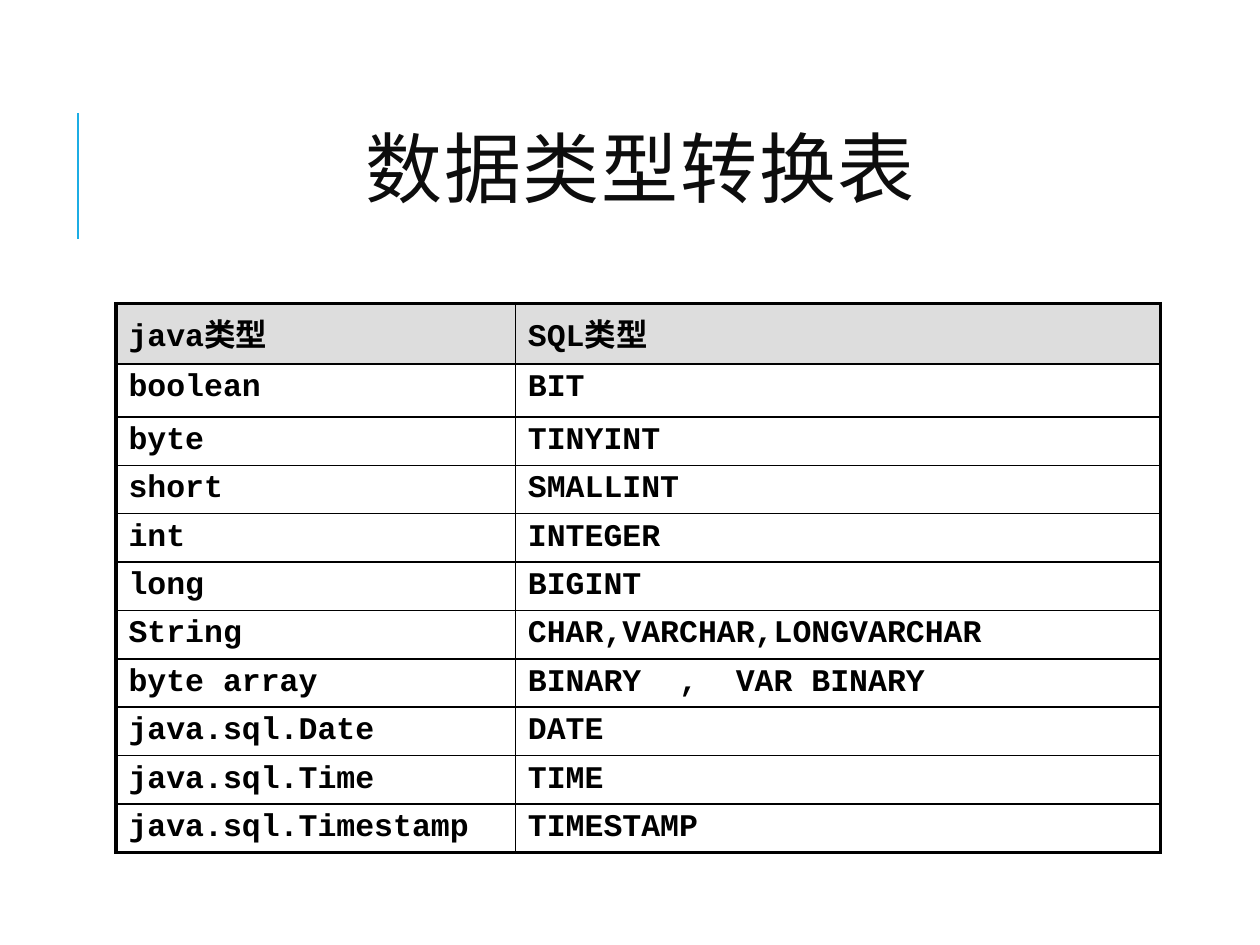
from lxml.etree import SubElement
from pptx import Presentation
from pptx.dml.color import RGBColor
from pptx.enum.shapes import MSO_CONNECTOR
from pptx.enum.text import MSO_ANCHOR, PP_ALIGN
from pptx.oxml.ns import qn
from pptx.util import Inches, Pt

TITLE = "数据类型转换表"
TYPES = [
    ("java类型", "SQL类型"),
    ("boolean", "BIT"),
    ("byte", "TINYINT"),
    ("short", "SMALLINT"),
    ("int", "INTEGER"),
    ("long", "BIGINT"),
    ("String", "CHAR,VARCHAR,LONGVARCHAR"),
    ("byte array", "BINARY  ,  VAR BINARY"),
    ("java.sql.Date", "DATE"),
    ("java.sql.Time", "TIME"),
    ("java.sql.Timestamp", "TIMESTAMP"),
]
COL_WIDTHS = (3.17, 5.12)
ROW_HEIGHTS = [0.48, 0.42] + [0.38] * (len(TYPES) - 2)
OUTER, INNER = 2.25, 1
FONT = "Courier New"
BLACK = RGBColor(0x00, 0x00, 0x00)
TITLE_INK = RGBColor(0x0D, 0x0D, 0x0D)
HEADER_GREY = RGBColor(0xDD, 0xDD, 0xDD)
ACCENT = RGBColor(0x1C, 0xAD, 0xE4)


def add_run(p, text, size, color, bold=False):
    """Add one formatted run to a paragraph."""
    r = p.add_run()
    r.text = text
    r.font.name, r.font.size, r.font.bold = FONT, Pt(size), bold
    r.font.color.rgb = color
    return r


def add_title(slide):
    """Place and format the title."""
    sp = slide.shapes.title
    sp.left, sp.top = Inches(2.8), Inches(0.77)
    sp.width, sp.height = Inches(4.67), Inches(1.25)
    tf = sp.text_frame
    tf.word_wrap = True
    tf.vertical_anchor = MSO_ANCHOR.MIDDLE
    p = tf.paragraphs[0]
    p.alignment, p.line_spacing = PP_ALIGN.LEFT, 0.8
    r = add_run(p, TITLE, 44, TITLE_INK)
    r.font._element.set("spc", "100")


def add_accent_line(slide):
    """Draw the vertical line left of the title."""
    x = Inches(0.62)
    line = slide.shapes.add_connector(
        MSO_CONNECTOR.STRAIGHT, x, Inches(0.9), x, Inches(1.9))
    line.line.color.rgb, line.line.width = ACCENT, Pt(1.5)
    SubElement(line._element.spPr, qn("a:effectLst"))


def set_borders(cell, row, col):
    """Give a cell thick lines on the table's edge and thin ones inside."""
    edges = {
        "a:lnL": col == 0,
        "a:lnR": col == len(COL_WIDTHS) - 1,
        "a:lnT": row == 0,
        "a:lnB": row == len(TYPES) - 1,
    }
    tcPr = cell._tc.get_or_add_tcPr()
    for tag, is_outer in edges.items():
        ln = SubElement(tcPr, qn(tag), w=str(Pt(OUTER if is_outer else INNER)))
        fill = SubElement(ln, qn("a:solidFill"))
        SubElement(fill, qn("a:srgbClr"), val=str(BLACK))


def fill_cell(cell, text, row, col):
    """Write and format one table cell."""
    set_borders(cell, row, col)
    if row == 0:
        cell.fill.solid()
        cell.fill.fore_color.rgb = HEADER_GREY
    else:
        cell.fill.background()
    p = cell.text_frame.paragraphs[0]
    before = SubElement(p._p.get_or_add_pPr(), qn("a:spcBef"))
    SubElement(before, qn("a:spcPct"), val="20000")
    add_run(p, text, 18, BLACK, bold=True)


def add_type_table(slide):
    """Build the table of type pairs."""
    table = slide.shapes.add_table(
        len(TYPES), len(COL_WIDTHS), Inches(0.92), Inches(2.41),
        Inches(sum(COL_WIDTHS)), Inches(sum(ROW_HEIGHTS))).table
    table.first_row = table.horz_banding = False
    for column, width in zip(table.columns, COL_WIDTHS):
        column.width = Inches(width)
    for i, (height, pair) in enumerate(zip(ROW_HEIGHTS, TYPES)):
        table.rows[i].height = Inches(height)
        for j, text in enumerate(pair):
            fill_cell(table.cell(i, j), text, i, j)


prs = Presentation()
prs.slide_width, prs.slide_height = Inches(10), Inches(7.5)
slide = prs.slides.add_slide(prs.slide_layouts[5])
add_accent_line(slide)
add_title(slide)
add_type_table(slide)
prs.save("out.pptx")
